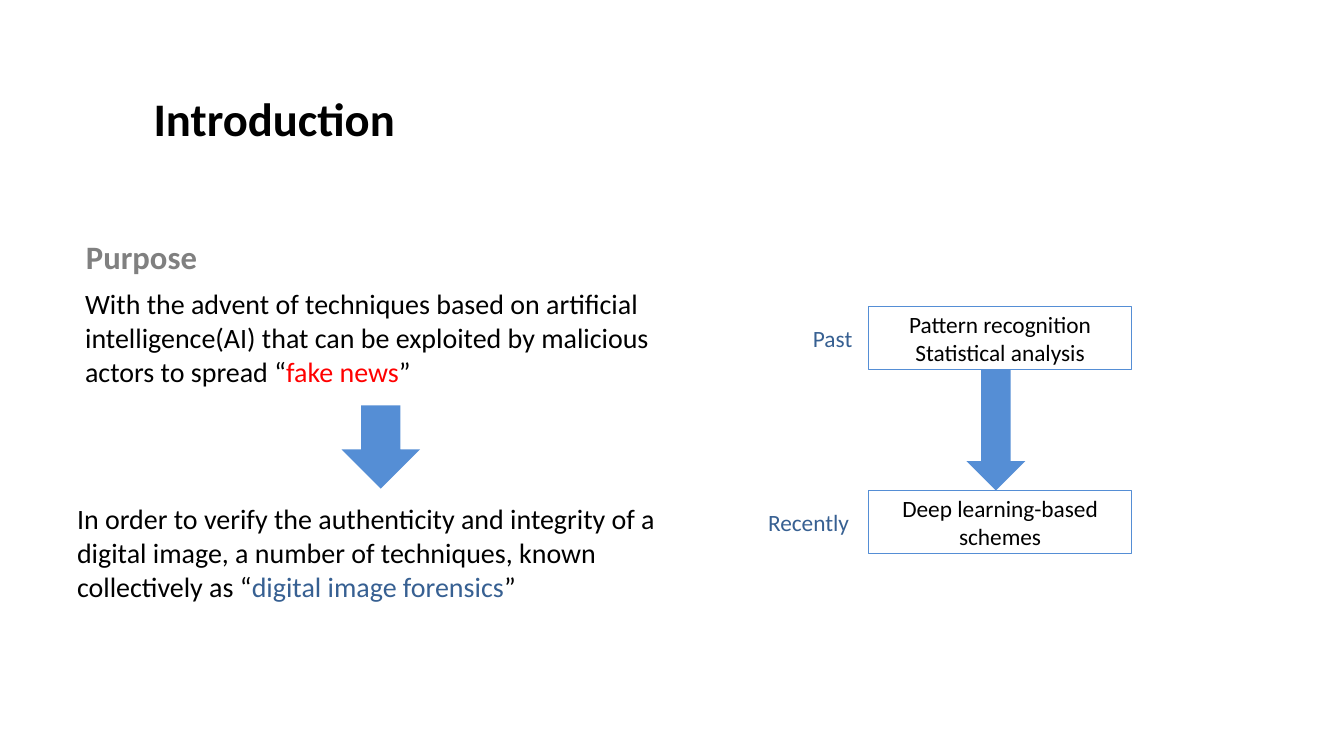
import pptx
import pptx.util
import pptx.dml.color
import pptx.enum.shapes
import pptx.enum.text

Pt = pptx.util.Pt
SHAPES = pptx.enum.shapes.MSO_SHAPE
FONT = "Calibri"
BLACK, GRAY, RED = "000000", "808080", "FF0000"
BLUE, DARK_BLUE = "558ED5", "376092"


def color(hex_code):
    return pptx.dml.color.RGBColor.from_string(hex_code)


def style(run, size, hex_code, bold=False):
    run.font.name = FONT
    run.font.size = Pt(size)
    run.font.bold = bold
    run.font.color.rgb = color(hex_code)


def add_text(slide, box, parts, size, bold=False):
    """Place one paragraph made of (wording, colour) parts."""
    frame = slide.shapes.add_textbox(*map(Pt, box)).text_frame
    frame.word_wrap = True
    for wording, hex_code in parts:
        run = frame.paragraphs[0].add_run()
        run.text = wording
        style(run, size, hex_code, bold)


def add_down_arrow(slide, box):
    arrow = slide.shapes.add_shape(SHAPES.DOWN_ARROW, *map(Pt, box))
    arrow.shadow.inherit = False
    arrow.fill.solid()
    arrow.fill.fore_color.rgb = color(BLUE)
    arrow.line.fill.background()


def add_method_box(slide, box, methods):
    method_box = slide.shapes.add_shape(SHAPES.RECTANGLE, *map(Pt, box))
    method_box.shadow.inherit = False
    method_box.fill.background()
    method_box.line.color.rgb = color(BLUE)
    method_box.line.width = Pt(0.75)
    frame = method_box.text_frame
    frame.word_wrap = True
    frame.vertical_anchor = pptx.enum.text.MSO_ANCHOR.MIDDLE
    frame.text = methods
    for paragraph in frame.paragraphs:
        paragraph.alignment = pptx.enum.text.PP_ALIGN.CENTER
        for run in paragraph.runs:
            style(run, 25, BLACK)


def add_purpose(slide, left, top):
    add_text(slide, (left + 9.5, top, 194.5, 49.5), [("Purpose", GRAY)], 35, True)
    add_text(slide, (left + 8.6, top + 54, 666, 116.7), [
        ("With the advent of techniques based on artificial intelligence(AI) "
         "that can be exploited by malicious actors to spread “", BLACK),
        ("fake news", RED),
        ("”", BLACK),
    ], 30)
    add_down_arrow(slide, (left + 290.5, top + 184.5, 84, 89.3))
    add_text(slide, (left, top + 284.4, 698.4, 116.7), [
        ("In order to verify the authenticity and integrity of a digital image, "
         "a number of techniques, known collectively as “", BLACK),
        ("digital image forensics", DARK_BLUE),
        ("”", BLACK),
    ], 30)


def add_timeline(slide, left, top, width, height):
    """Stack the past and recent methods, joined by an arrow."""
    box_width, box_height = 282, 67.7
    box_left = left + width - box_width
    recent_top = top + height - box_height
    eras = [
        ("Past", left + 48.2, 78, top, "Pattern recognition\nStatistical analysis"),
        ("Recently", left, 114.5, recent_top, "Deep learning-based schemes"),
    ]
    for era, era_left, era_width, era_top, methods in eras:
        add_method_box(slide, (box_left, era_top, box_width, box_height), methods)
        add_text(slide, (era_left, era_top + 15.5, era_width, 37.5),
                 [(era, DARK_BLUE)], 25)
    arrow_top = top + box_height
    add_down_arrow(slide, (box_left + 105, arrow_top, 63.2, recent_top - arrow_top))


def main():
    presentation = pptx.Presentation()
    presentation.slide_width = Pt(1440)
    presentation.slide_height = Pt(810)
    slide = presentation.slides.add_slide(presentation.slide_layouts[6])
    add_text(slide, (157.5, 93, 402, 67.7), [("Introduction", BLACK)], 50, True)
    add_purpose(slide, 75.5, 249.8)
    add_timeline(slide, 815.8, 328.3, 396.7, 265)
    presentation.save("out.pptx")


if __name__ == "__main__":
    main()
